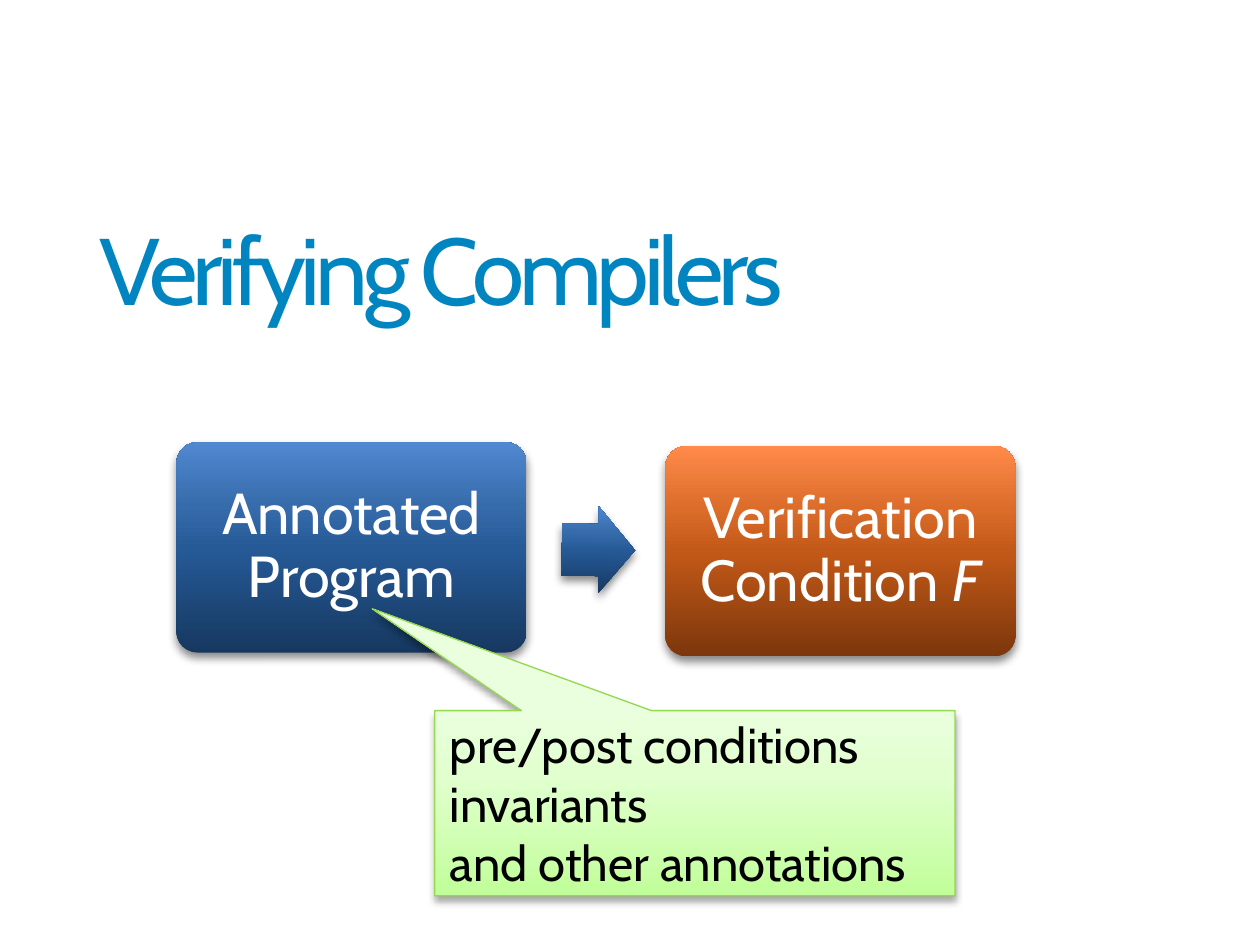
"""Build the slide that shows how a verifying compiler turns a program into a condition."""
import pptx
import pptx.dml.color
import pptx.enum.shapes
import pptx.enum.text
import pptx.oxml
import pptx.oxml.ns
import pptx.util

Inches, Pt = pptx.util.Inches, pptx.util.Pt
RGBColor = pptx.dml.color.RGBColor
SHAPES = pptx.enum.shapes.MSO_SHAPE
ALIGN = pptx.enum.text.PP_ALIGN
ANCHOR = pptx.enum.text.MSO_ANCHOR
qn = pptx.oxml.ns.qn

FONT = "Cabin"
TITLE_BLUE = RGBColor(0x00, 0x85, 0xC0)
WHITE = RGBColor(0xFF, 0xFF, 0xFF)
BLACK = RGBColor(0x00, 0x00, 0x00)
CALLOUT_EDGE = RGBColor(0x94, 0xD8, 0x50)


def ramp(*stops):
    return [(position, RGBColor.from_string(color)) for position, color in stops]


BLUE = ramp((0, "163860"), (50, "265A97"), (70, "376CAC"), (100, "5188D0"))
ORANGE = ramp((0, "7C370C"), (50, "C35918"), (70, "DB6C2A"), (100, "FF8A4A"))
GREEN = ramp((0, "C1FE99"), (65, "E1FFCF"), (100, "EAFFDD"))

TITLE = "Verifying Compilers"
STEP_SIZE = (2.78, 1.67)
STEPS = [
    ((1.4, 3.51), BLUE, [("Annotated Program", False)]),
    ((5.28, 3.54), ORANGE, [("Verification Condition ", False), ("F", True)]),
]
ARROW_BOX = (4.46, 4.02, 0.58, 0.69)
CALLOUT_BOX = (3.45, 5.64, 4.13, 1.47)
ANNOTATIONS = ["pre/post conditions", "invariants", "and other annotations"]


def add_glossy(slide, kind, box, adjustments, colors, shadow_alpha, shadow_blur):
    shape = slide.shapes.add_shape(kind, *map(Inches, box))
    for index, value in enumerate(adjustments):
        shape.adjustments[index] = value
    shape.line.fill.background()
    shape.fill.gradient()
    shape.fill.gradient_angle = 90
    stops = shape.element.spPr.find(".//" + qn("a:gsLst"))
    for stop in list(stops):
        stops.remove(stop)
    for position, color in colors:
        stops.append(pptx.oxml.parse_xml(
            f'<a:gs {pptx.oxml.ns.nsdecls("a")} pos="{position * 1000}">'
            f'<a:srgbClr val="{color}"/></a:gs>'))
    shape.shadow.inherit = False
    shape.element.spPr.find(qn("a:effectLst")).append(pptx.oxml.parse_xml(
        f'<a:outerShdw {pptx.oxml.ns.nsdecls("a")} blurRad="{Pt(shadow_blur)}" '
        f'dist="{Pt(3)}" dir="5400000" rotWithShape="0"><a:srgbClr val="000000">'
        f'<a:alpha val="{shadow_alpha * 1000}"/></a:srgbClr></a:outerShdw>'))
    return shape


def set_frame(frame, side, edge, anchor):
    frame.word_wrap = True
    frame.vertical_anchor = anchor
    frame.margin_left = frame.margin_right = Inches(side)
    frame.margin_top = frame.margin_bottom = Inches(edge)


def add_run(paragraph, words, size, color, italic=False):
    run = paragraph.add_run()
    run.text = words
    run.font.name = FONT
    run.font.size = Pt(size)
    run.font.color.rgb = color
    run.font.italic = italic
    return run


def add_title(slide):
    title = slide.shapes.title
    title.left, title.top, title.width, title.height = map(Inches, (0.79, 1.78, 8.41, 0.82))
    set_frame(title.text_frame, 0, 0, ANCHOR.TOP)
    title.text_frame.auto_size = pptx.enum.text.MSO_AUTO_SIZE.SHAPE_TO_FIT_TEXT
    paragraph = title.text_frame.paragraphs[0]
    paragraph.alignment = ALIGN.LEFT
    paragraph.line_spacing = 0.9
    run = add_run(paragraph, TITLE, 54, TITLE_BLUE)
    run.font._element.set("spc", "-300")


def add_step(slide, corner, colors, runs):
    step = add_glossy(slide, SHAPES.ROUNDED_RECTANGLE, corner + STEP_SIZE, [0.1], colors, 45, 5)
    set_frame(step.text_frame, 0.09, 0.09, ANCHOR.MIDDLE)
    paragraph = step.text_frame.paragraphs[0]
    paragraph.alignment = ALIGN.CENTER
    paragraph.line_spacing = 0.9
    for words, italic in runs:
        add_run(paragraph, words, 33, WHITE, italic)


def add_callout(slide):
    callout = add_glossy(slide, SHAPES.RECTANGULAR_CALLOUT, CALLOUT_BOX,
                         [-0.62, -1.05], GREEN, 35, 4)
    callout.line.color.rgb = CALLOUT_EDGE
    callout.line.width = Pt(0.75)
    frame = callout.text_frame
    set_frame(frame, 0.12, 0.06, ANCHOR.MIDDLE)
    for index, words in enumerate(ANNOTATIONS):
        paragraph = frame.add_paragraph() if index else frame.paragraphs[0]
        paragraph.alignment = ALIGN.LEFT
        add_run(paragraph, words, 28, BLACK)


def main():
    deck = pptx.Presentation()
    deck.slide_width, deck.slide_height = Inches(10), Inches(7.5)
    slide = deck.slides.add_slide(deck.slide_layouts[0])
    subtitle = slide.placeholders[1].element
    subtitle.getparent().remove(subtitle)
    add_title(slide)
    for step in STEPS:
        add_step(slide, *step)
    arrow = add_glossy(slide, SHAPES.RIGHT_ARROW, ARROW_BOX, [0.6, 0.5], BLUE, 45, 5)
    arrow.rotation = 0.5
    add_callout(slide)
    deck.save("out.pptx")


if __name__ == "__main__":
    main()
